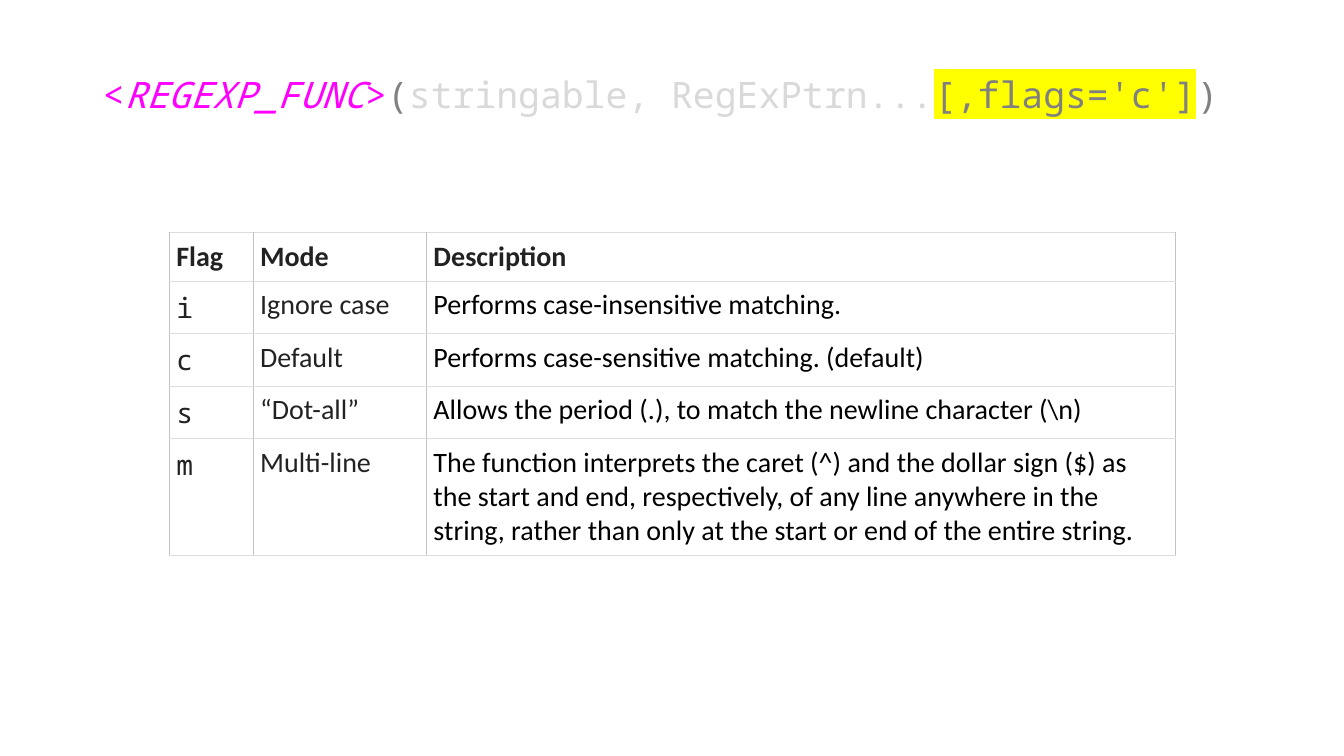
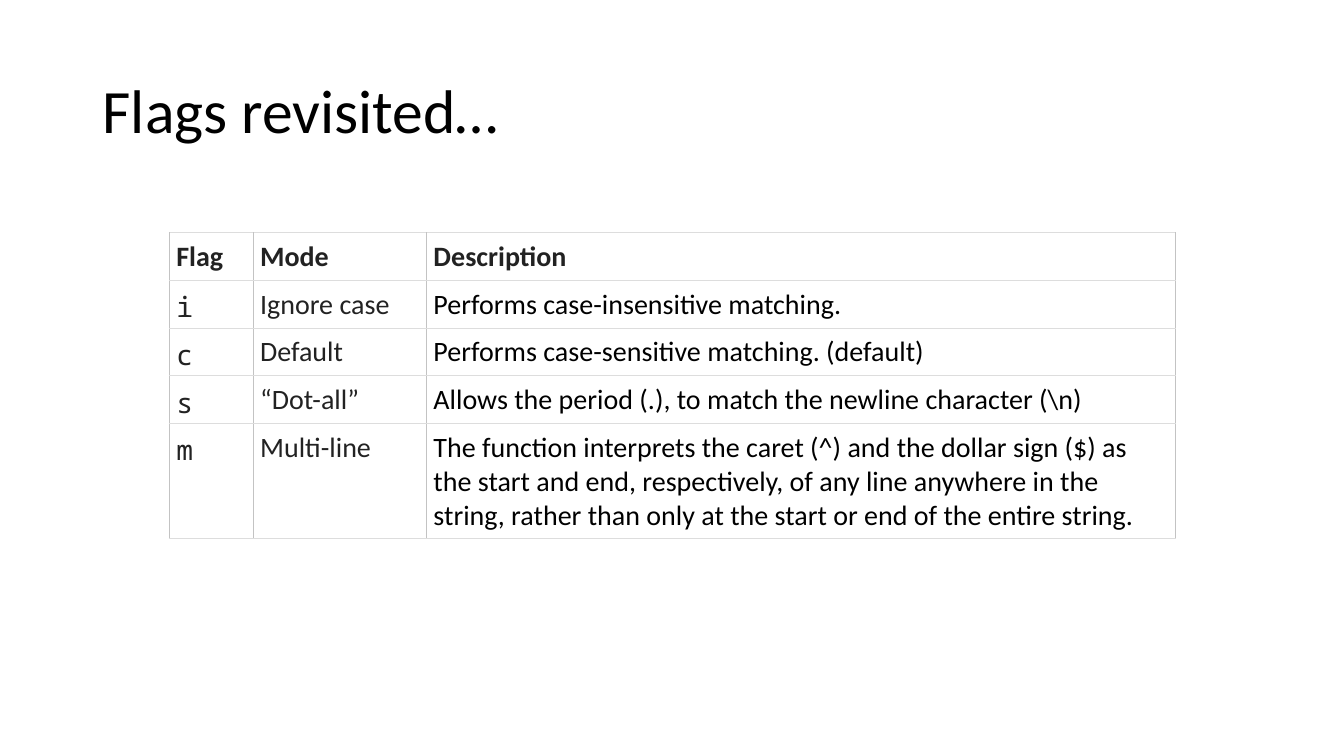
from dataclasses import dataclass

from lxml import etree
from pptx import Presentation
from pptx import util as u
from pptx.dml import color
from pptx.enum import text
from pptx.oxml import ns


@dataclass(frozen=True)
class Theme:
    body_font: str = "Calibri"
    code_font: str = "Noto Sans Mono"
    title_size: int = 44
    syntax_size: int = 26
    table_size: int = 20
    black: str = "000000"
    white: str = "FFFFFF"
    dark: str = "222222"
    gray: str = "808080"
    faded: str = "D9D9D9"
    magenta: str = "FF00FF"
    yellow: str = "FFFF00"
    side_rule: str = "C3C3C3"
    row_rule: str = "DDDDDD"
    rule_width: float = 0.75
    cell_margin: float = 0.07
    row_height: float = 0.37


THEME = Theme()
FLAG_COLUMNS = (0.83, 1.72, 7.43)
FLAGS = (
    ("Flag", "Mode", "Description"),
    ("i", "Ignore case", "Performs case-insensitive matching."),
    ("c", "Default", "Performs case-sensitive matching. (default)"),
    ("s", "“Dot-all”", r"Allows the period (.), to match the newline character (\n)"),
    ("m", "Multi-line", "The function interprets the caret (^) and the dollar sign ($) as "
     "the start and end, respectively, of any line anywhere in the string, "
     "rather than only at the start or end of the entire string."),
)
SYNTAX = (
    ("<", THEME.magenta, False, None),
    ("REGEXP_FUNC", THEME.magenta, True, None),
    (">", THEME.magenta, False, None),
    ("(", THEME.gray, False, None),
    ("stringable, RegExPtrn...", THEME.faded, False, None),
    ("[,flags='c']", THEME.gray, False, THEME.yellow),
    (")", THEME.gray, False, None),
)


def style_run(run, font, size, rgb, bold=False, italic=False, highlight=None):
    run.font.name = font
    run.font.size = u.Pt(size)
    run.font.bold = bold
    run.font.italic = italic
    run.font.color.rgb = color.RGBColor.from_string(rgb)
    if highlight:
        marker = etree.Element(ns.qn("a:highlight"))
        etree.SubElement(marker, ns.qn("a:srgbClr"), val=highlight)
        run.font._element.find(ns.qn("a:solidFill")).addnext(marker)


def set_borders(cell):
    properties = cell._tc.get_or_add_tcPr()
    sides = (("L", THEME.side_rule), ("R", THEME.side_rule),
             ("T", THEME.row_rule), ("B", THEME.row_rule))
    for position, (side, rgb) in enumerate(sides):
        border = etree.Element(ns.qn(f"a:ln{side}"), w=str(u.Pt(THEME.rule_width)))
        fill = etree.SubElement(border, ns.qn("a:solidFill"))
        etree.SubElement(fill, ns.qn("a:srgbClr"), val=rgb)
        properties.insert(position, border)


def add_flags_table(slide, left, top):
    table = slide.shapes.add_table(
        len(FLAGS), len(FLAG_COLUMNS), u.Inches(left), u.Inches(top),
        u.Inches(sum(FLAG_COLUMNS)), u.Inches(THEME.row_height * len(FLAGS))).table
    table.first_row = table.horz_banding = False
    for column, width in zip(table.columns, FLAG_COLUMNS):
        column.width = u.Inches(width)
    for row_index, entries in enumerate(FLAGS):
        header = row_index == 0
        for column_index, entry in enumerate(entries):
            cell = table.cell(row_index, column_index)
            cell.margin_left = cell.margin_right = u.Inches(THEME.cell_margin)
            cell.margin_top = cell.margin_bottom = u.Inches(THEME.cell_margin)
            cell.fill.solid()
            cell.fill.fore_color.rgb = color.RGBColor.from_string(THEME.white)
            set_borders(cell)
            cell.text_frame.text = entry
            is_code = column_index == 0 and not header
            is_description = column_index == 2 and not header
            style_run(cell.text_frame.paragraphs[0].runs[0],
                      THEME.code_font if is_code else THEME.body_font,
                      THEME.table_size,
                      THEME.black if is_description else THEME.dark, bold=header)


def add_heading(slide, left, top, width, height, parts, font, size):
    frame = slide.shapes.add_textbox(
        u.Inches(left), u.Inches(top), u.Inches(width), u.Inches(height)).text_frame
    frame.word_wrap = True
    frame.vertical_anchor = text.MSO_ANCHOR.MIDDLE
    heading = frame.paragraphs[0]
    heading.line_spacing = 0.9
    for words, rgb, italic, highlight in parts:
        run = heading.add_run()
        run.text = words
        style_run(run, font, size, rgb, italic=italic, highlight=highlight)


def add_flags_slide(deck):
    slide = deck.slides.add_slide(deck.slide_layouts[6])
    add_flags_table(slide, 1.68, 2.31)
    return slide


def main():
    deck = Presentation()
    deck.slide_width, deck.slide_height = u.Inches(13.33), u.Inches(7.5)
    add_heading(add_flags_slide(deck), 0.92, 0.43, 11.28, 1.05,
                SYNTAX, THEME.code_font, THEME.syntax_size)
    add_heading(add_flags_slide(deck), 0.92, 0.4, 11.5, 1.45,
                [("Flags revisited…", THEME.black, False, None)],
                THEME.body_font, THEME.title_size)
    deck.save("out.pptx")


if __name__ == "__main__":
    main()
